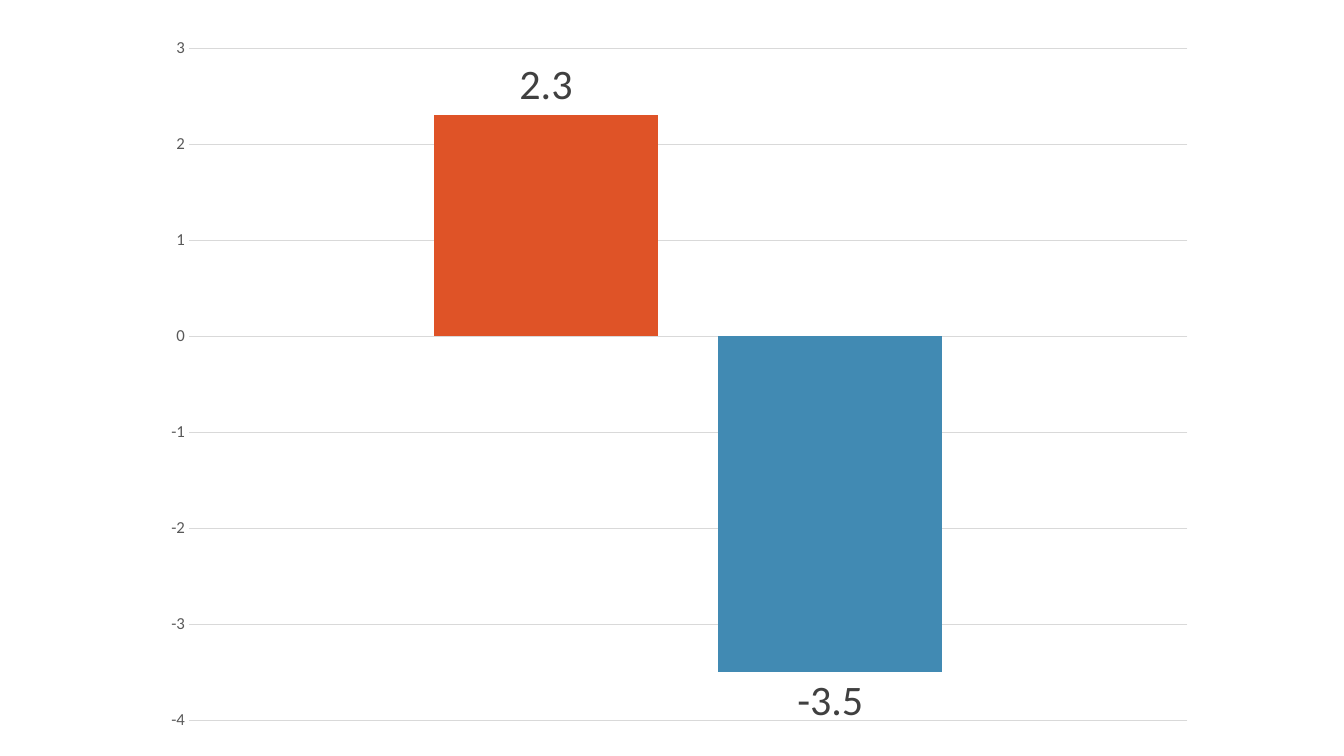
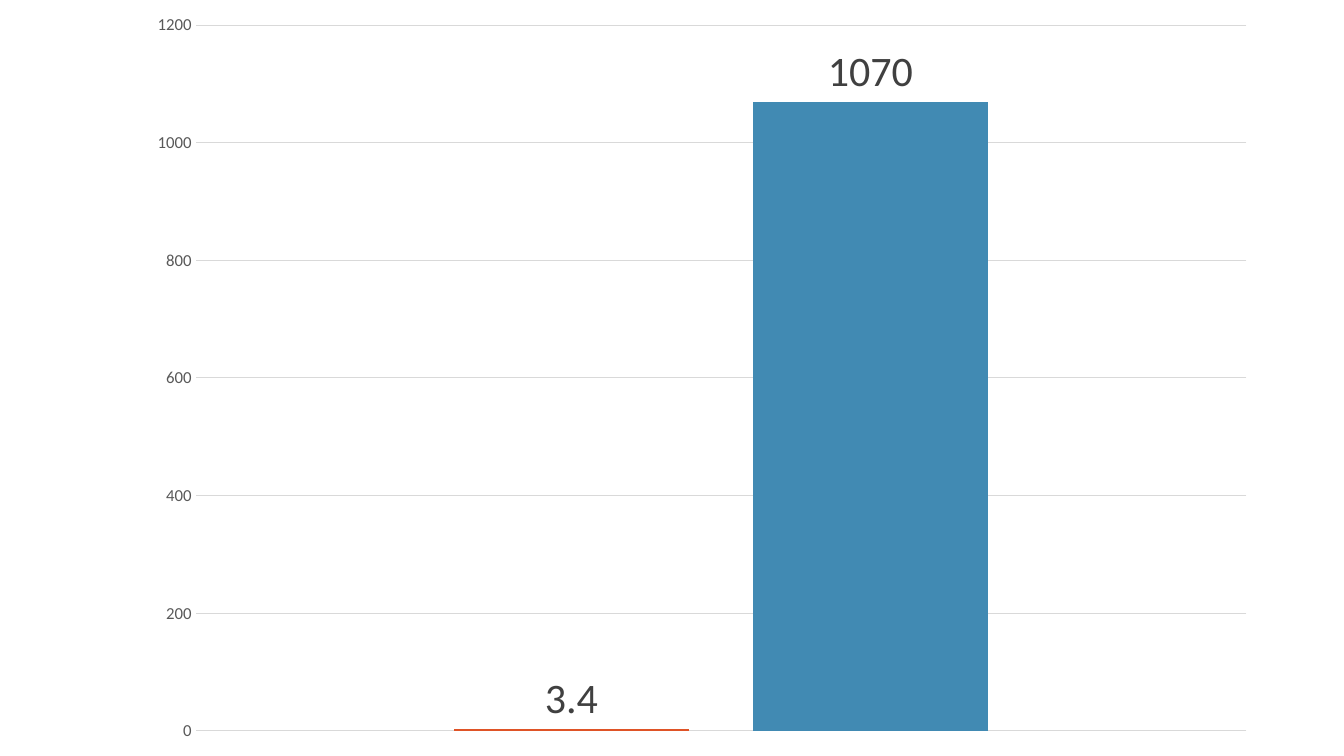
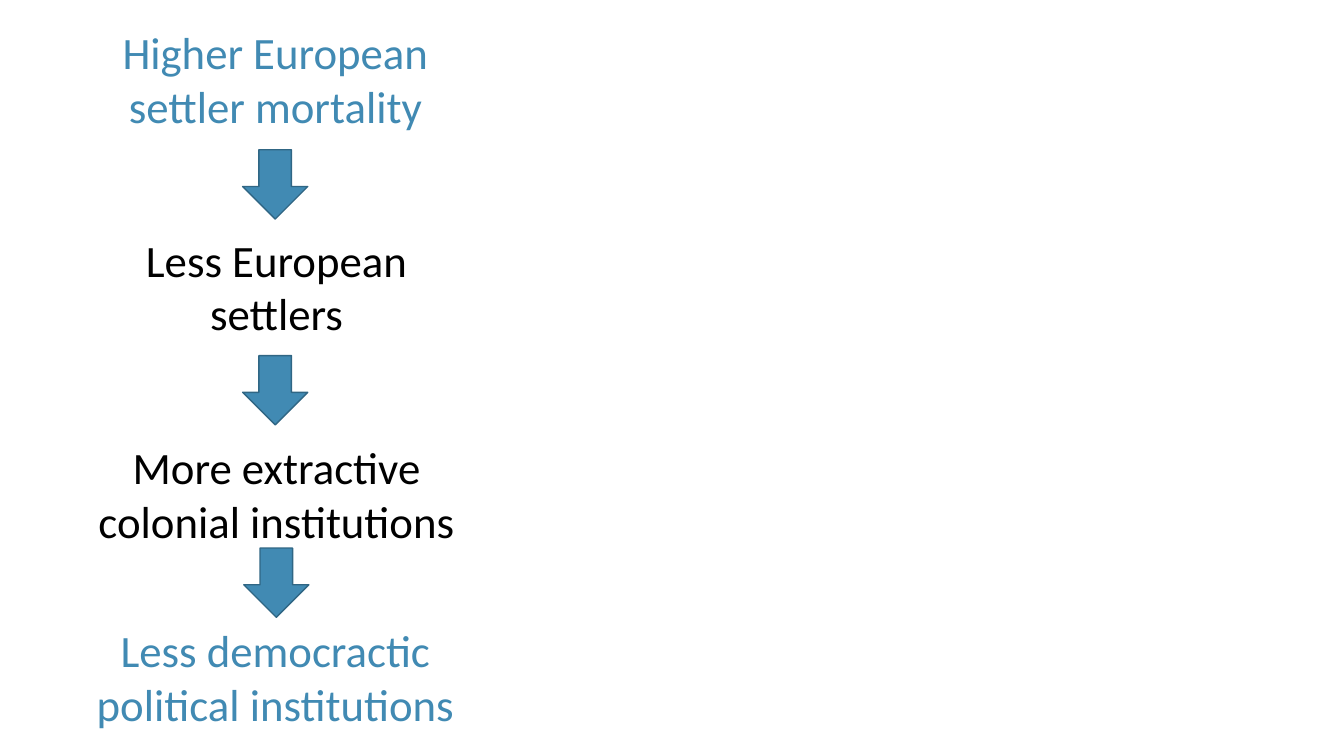
from pptx import Presentation
from pptx.chart.data import CategoryChartData
from pptx.dml.color import RGBColor
from pptx.enum.chart import XL_CHART_TYPE, XL_LABEL_POSITION, XL_TICK_MARK
from pptx.enum.shapes import MSO_SHAPE
from pptx.enum.text import MSO_AUTO_SIZE, PP_ALIGN
from pptx.util import Pt

COLUMN = XL_CHART_TYPE.COLUMN_CLUSTERED
OUT_END = XL_LABEL_POSITION.OUTSIDE_END
NO_TICK = XL_TICK_MARK.NONE
DOWN = MSO_SHAPE.DOWN_ARROW
GROW = MSO_AUTO_SIZE.SHAPE_TO_FIT_TEXT
CENTER = PP_ALIGN.CENTER

COLORS = {
    "orange": "DF5327",
    "blue": "418AB3",
    "edge": "306684",
    "black": "000000",
    "label": "404040",
    "axis": "595959",
    "grid": "D9D9D9",
}


def color(name):
    return RGBColor.from_string(COLORS[name])


class Deck:
    """Holds the shared style and the current slide."""

    font = "Calibri"

    def __init__(self):
        self.prs = Presentation()
        self.prs.slide_width = Pt(960)
        self.prs.slide_height = Pt(540)
        self.slide = None

    def new(self):
        self.slide = self.prs.slides.add_slide(self.prs.slide_layouts[6])

    def style(self, font, size, tint):
        font.name = self.font
        font.size = Pt(size)
        font.color.rgb = color(tint)

    def chart(self, box, values, formats, scale):
        data = CategoryChartData()
        data.categories = ["1"]
        for num, (value, code) in enumerate(zip(values, formats), 1):
            data.add_series(f"Series {num}", [value], number_format=code)
        frame = self.slide.shapes.add_chart(COLUMN, *map(Pt, box), data)
        chart = frame.chart
        chart.has_title = False
        chart.has_legend = False
        self.style(chart.font, 10, "black")

        # Axes
        chart.category_axis.visible = False
        axis = chart.value_axis
        axis.minimum_scale, axis.maximum_scale, axis.major_unit = scale
        axis.major_tick_mark = axis.minor_tick_mark = NO_TICK
        axis.format.line.fill.background()
        self.style(axis.tick_labels.font, 12, "axis")
        axis.tick_labels.number_format = formats[0]
        axis.tick_labels.number_format_is_linked = False
        axis.has_major_gridlines = True
        grid = axis.major_gridlines.format.line
        grid.color.rgb = color("grid")
        grid.width = Pt(0.75)

        # Columns and their labels
        plot = chart.plots[0]
        plot.vary_by_categories = False
        plot.gap_width = 219
        plot.overlap = -27
        for series, tint in zip(plot.series, ("orange", "blue")):
            series.invert_if_negative = False
            series.format.fill.solid()
            series.format.fill.fore_color.rgb = color(tint)
            labels = series.data_labels
            labels.show_value = True
            labels.position = OUT_END
            self.style(labels.font, 30, "label")
        return chart

    def label(self, chart, words):
        """Writes the first column's label by hand."""
        label = chart.plots[0].series[0].points[0].data_label
        label.text_frame.text = words
        label.position = OUT_END
        run = label.text_frame.paragraphs[0].runs[0]
        self.style(run.font, 30, "label")

    def text(self, words, mid, top, width, tint):
        box = self.slide.shapes.add_textbox(
            Pt(mid - width / 2), Pt(top), Pt(width), Pt(85))
        frame = box.text_frame
        frame.word_wrap = True
        frame.auto_size = GROW
        frame.text = words
        para = frame.paragraphs[0]
        para.alignment = CENTER
        self.style(para.runs[0].font, 32, tint)

    def arrow(self, mid, top):
        width = 46.5
        shape = self.slide.shapes.add_shape(
            DOWN, Pt(mid - width / 2), Pt(top), Pt(width), Pt(49.5))
        shape.shadow.inherit = False
        shape.fill.solid()
        shape.fill.fore_color.rgb = color("blue")
        shape.line.color.rgb = color("edge")
        shape.line.width = Pt(1)


def main():
    deck = Deck()

    # Column charts
    deck.new()
    chart = deck.chart((107.25, 17, 756, 514.8), (2.3, -3.5),
                       ("0", "General"), (-4, 3, 1))
    deck.label(chart, "2.3")
    deck.new()
    deck.chart((96.4, 0, 810, 540), (3.4, 1070),
               ("General", "General"), (0, 1200, 200))

    # Chain of causes
    deck.new()
    steps = [
        ("Higher European settler mortality", 196.8, 14.2, 235, "blue"),
        ("Less European settlers", 197.6, 162.3, 296, "black"),
        ("More extractive colonial institutions", 197.6, 310.5, 296, "black"),
        ("Less democractic political institutions", 196.8, 441.5, 296, "blue"),
    ]
    for step in steps:
        deck.text(*step)
    for mid, top in ((196.6, 107), (196.6, 254), (197.4, 391.5)):
        deck.arrow(mid, top)

    deck.prs.save("out.pptx")


if __name__ == "__main__":
    main()
